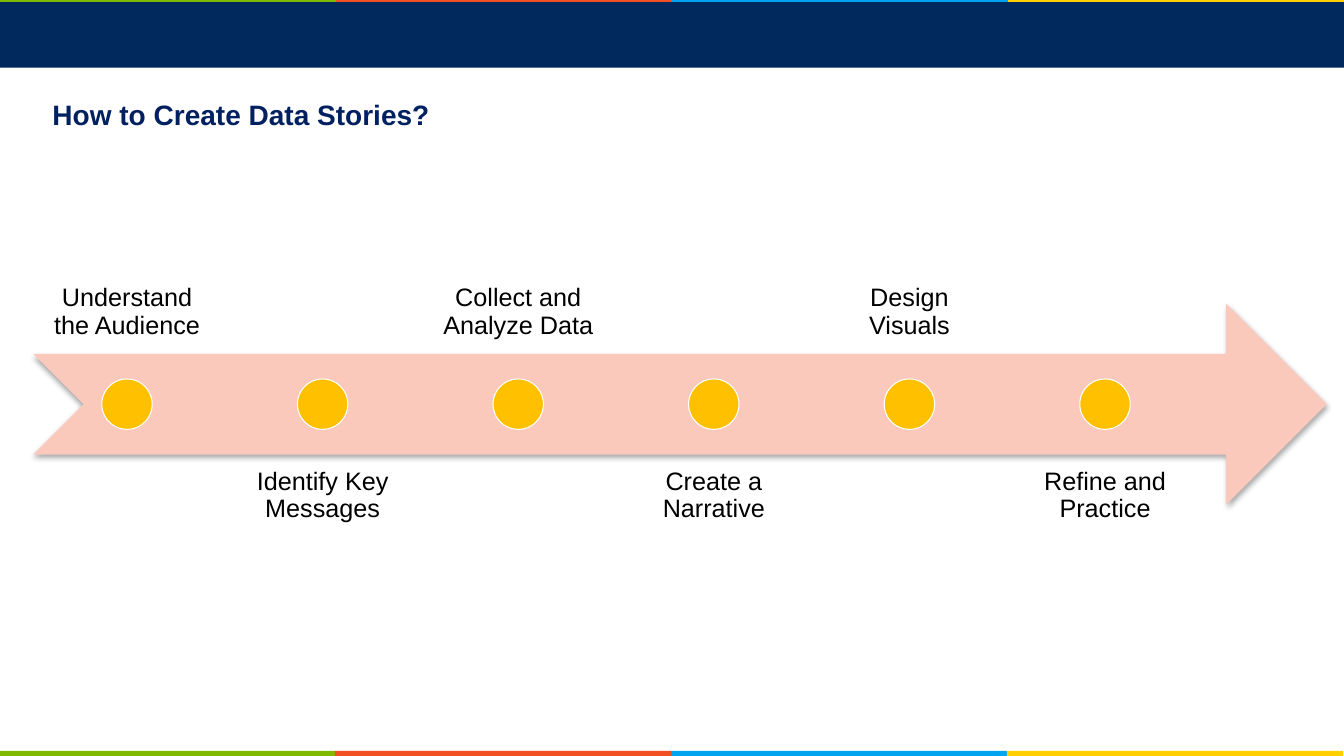
from lxml.etree import SubElement
from pptx import Presentation
from pptx.dml.color import RGBColor
from pptx.enum.shapes import MSO_SHAPE as SHAPE
from pptx.enum.text import MSO_ANCHOR as ANCHOR, MSO_AUTO_SIZE as AUTO, PP_ALIGN as ALIGN
from pptx.oxml.ns import qn
from pptx.util import Pt

PX = 9144
WIDTH, HEIGHT = 1333, 750
NAVY = RGBColor(0x01, 0x29, 0x5E)
TITLE_BLUE = RGBColor(0x00, 0x20, 0x60)
GREEN = RGBColor(0x7F, 0xBA, 0x00)
ORANGE = RGBColor(0xF2, 0x50, 0x22)
BLUE = RGBColor(0x00, 0xA4, 0xEF)
YELLOW = RGBColor(0xFF, 0xCF, 0x01)
PINK = RGBColor(0xFB, 0xC9, 0xBB)
AMBER = RGBColor(0xFF, 0xC0, 0x00)
WHITE = RGBColor(0xFF, 0xFF, 0xFF)
BLACK = RGBColor(0x00, 0x00, 0x00)
STRIPE_COLORS = [GREEN, ORANGE, BLUE, YELLOW]
STEPS = [
    "Understand the Audience",
    "Identify Key Messages",
    "Collect and Analyze Data",
    "Create a Narrative",
    "Design Visuals",
    "Refine and Practice",
]


def emu(*lengths):
    """Turn px lengths into EMU."""
    return [round(length * PX) for length in lengths]


def add_filled(s, kind, box, color):
    """Add a plain filled shape without line or shadow."""
    sp = s.shapes.add_shape(kind, *emu(*box))
    sp.shadow.inherit = False
    sp.fill.solid()
    sp.fill.fore_color.rgb = color
    sp.line.fill.background()
    return sp


def add_shadow(sp):
    """Give a shape a soft shadow straight below it."""
    effects = sp._element.spPr.find(qn("a:effectLst"))
    shadow = SubElement(effects, qn("a:outerShdw"), blurRad="40000", dist="23000",
                        dir="5400000", rotWithShape="0")
    color = SubElement(shadow, qn("a:srgbClr"), val=str(BLACK))
    SubElement(color, qn("a:alpha"), val="35000")


def set_font(p, size, color, bold=False):
    """Set the font of a whole paragraph."""
    p.font.name = "Arial"
    p.font.size = Pt(size)
    p.font.bold = bold
    p.font.color.rgb = color


def add_stripes(s, left, top, width, height):
    """Draw a row of equal coloured stripes."""
    step = width / len(STRIPE_COLORS)
    for i, color in enumerate(STRIPE_COLORS):
        add_filled(s, SHAPE.RECTANGLE, (left + i * step, top, step, height), color)


def add_title(s, left, top, width, height):
    """Place and format the title placeholder."""
    title = s.shapes.title
    title.left, title.top, title.width, title.height = emu(left, top, width, height)
    tf = title.text_frame
    tf.text = "How to Create Data Stories?"
    tf.auto_size = AUTO.NONE
    tf.vertical_anchor = ANCHOR.TOP
    p = tf.paragraphs[0]
    p.alignment = ALIGN.LEFT
    set_font(p, 20, TITLE_BLUE, bold=True)


def add_label(s, text, box, anchor):
    """Add the centred label of one step."""
    tf = s.shapes.add_textbox(*emu(*box)).text_frame
    tf.word_wrap = True
    tf.vertical_anchor = anchor
    tf.margin_left, tf.margin_top, tf.margin_right, tf.margin_bottom = emu(14, 14, 14, 14)
    p = tf.paragraphs[0]
    p.text = text
    p.alignment = ALIGN.CENTER
    p.line_spacing = 0.9
    set_font(p, 18, BLACK)


def add_timeline(s, left, top, width, height):
    """Draw the arrow with its dots, and labels above and below in turn."""
    add_shadow(add_filled(s, SHAPE.NOTCHED_RIGHT_ARROW, (left, top, width, height), PINK))
    dot, label_width, pitch = 50, 185, 194
    for i, text in enumerate(STEPS):
        center = left + 93 + i * pitch
        above = i % 2 == 0
        label_top = top - 150 if above else top + 150
        add_label(s, text, (center - label_width / 2, label_top, label_width, height),
                  ANCHOR.BOTTOM if above else ANCHOR.TOP)
        sp = add_filled(s, SHAPE.OVAL,
                        (center - dot / 2, top + (height - dot) / 2, dot, dot), AMBER)
        sp.line.color.rgb = WHITE
        sp.line.width = Pt(0.75)


def main():
    """Build the slide and save it."""
    prs = Presentation()
    prs.slide_width, prs.slide_height = emu(WIDTH, HEIGHT)
    s = prs.slides.add_slide(prs.slide_layouts[5])
    add_filled(s, SHAPE.RECTANGLE, (0, -2, WIDTH, 69), NAVY)
    add_stripes(s, 0, -3, WIDTH, 5)
    add_stripes(s, -1, 745, WIDTH, 5)
    add_title(s, 42, 92, 564, 44)
    add_timeline(s, 33, 301, 1283, 200)
    prs.save("out.pptx")


if __name__ == "__main__":
    main()
